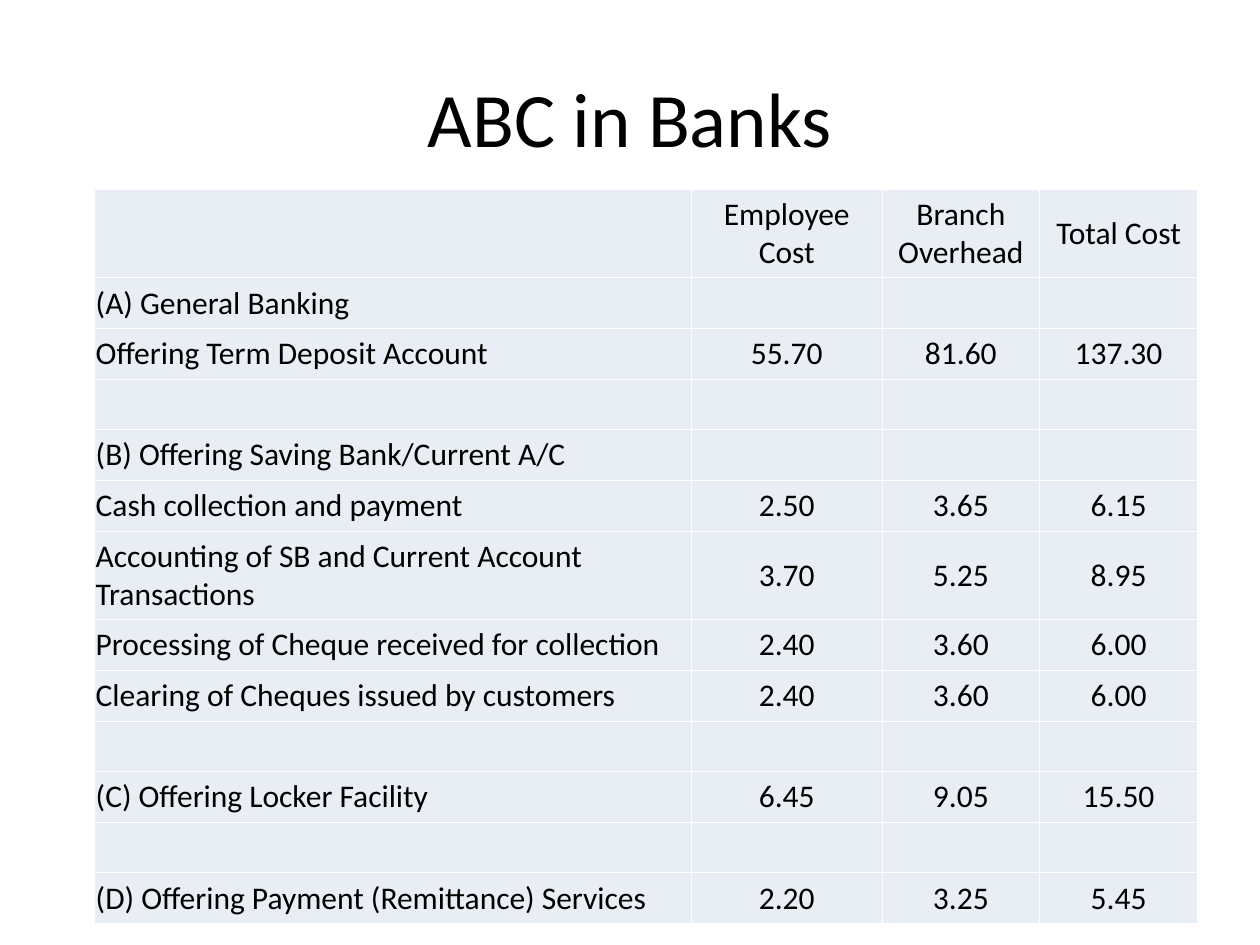
from lxml.etree import SubElement
from pptx import Presentation
from pptx.dml.color import RGBColor
from pptx.enum.text import MSO_ANCHOR, PP_ALIGN
from pptx.oxml.ns import qn
from pptx.util import Cm, Pt

FONT = "Calibri"
HUES = {"ink": "000000", "cell": "E9EDF4", "rule": "FFFFFF"}

WIDTHS = [12.04, 3.84, 3.18, 3.18]
HEAD, LOW, TALL = 1.75, 0.91, 1.55
WRAPPED = 6  # row whose label takes two lines

COSTS = [
    ["", "Employee Cost", "Branch Overhead", "Total Cost"],
    ["(A) General Banking"],
    ["Offering Term Deposit Account", "55.70", "81.60", "137.30"],
    [],
    ["(B) Offering Saving Bank/Current A/C"],
    ["Cash collection and payment", "2.50", "3.65", "6.15"],
    ["Accounting of SB and Current Account Transactions",
     "3.70", "5.25", "8.95"],
    ["Processing of Cheque received for collection", "2.40", "3.60", "6.00"],
    ["Clearing of Cheques issued by customers", "2.40", "3.60", "6.00"],
    [],
    ["(C) Offering Locker Facility", "6.45", "9.05", "15.50"],
    [],
    ["(D) Offering Payment (Remittance) Services", "2.20", "3.25", "5.45"],
]


def add_run(para, text, size):
    run = para.add_run()
    run.text = text
    run.font.name = FONT
    run.font.size = Pt(size)
    run.font.color.rgb = RGBColor.from_string(HUES["ink"])


def add_title(slide, text):
    box = slide.shapes.add_textbox(Cm(1.27), Cm(0.76), Cm(22.86), Cm(3.18))
    frame = box.text_frame
    frame.word_wrap = True
    frame.vertical_anchor = MSO_ANCHOR.MIDDLE
    para = frame.paragraphs[0]
    para.alignment = PP_ALIGN.CENTER
    add_run(para, text, 44)


def set_rules(cell):
    props = cell._tc.get_or_add_tcPr()
    for side in ("lnL", "lnR", "lnT", "lnB"):
        line = SubElement(props, qn("a:" + side), w=str(Pt(0.45)))
        fill = SubElement(line, qn("a:solidFill"))
        SubElement(fill, qn("a:srgbClr"), val=HUES["rule"])


def fill_cell(cell, text, align):
    # Borders come before the fill in the cell properties
    set_rules(cell)
    cell.fill.solid()
    cell.fill.fore_color.rgb = RGBColor.from_string(HUES["cell"])
    if text:
        cell.vertical_anchor = MSO_ANCHOR.MIDDLE
        cell.margin_left = cell.margin_right = Cm(0.03)
        cell.margin_top = cell.margin_bottom = Cm(0.13)
        para = cell.text_frame.paragraphs[0]
        para.alignment = align
        add_run(para, text, 18)


def add_costs(slide):
    heights = [LOW] * len(COSTS)
    heights[0], heights[WRAPPED] = HEAD, TALL
    table = slide.shapes.add_table(
        len(COSTS), len(WIDTHS), Cm(1.9), Cm(3.81),
        Cm(sum(WIDTHS)), Cm(sum(heights))).table
    table.first_row = table.horz_banding = False
    for col, width in zip(table.columns, WIDTHS):
        col.width = Cm(width)
    for row, height, texts in zip(table.rows, heights, COSTS):
        row.height = Cm(height)
        for j, cell in enumerate(row.cells):
            text = texts[j] if j < len(texts) else ""
            fill_cell(cell, text, PP_ALIGN.CENTER if j else PP_ALIGN.LEFT)


def main():
    deck = Presentation()
    deck.slide_width, deck.slide_height = Cm(25.4), Cm(19.05)
    slide = deck.slides.add_slide(deck.slide_layouts[6])
    # Heading
    add_title(slide, "ABC in Banks")
    # Cost per service
    add_costs(slide)
    deck.save("out.pptx")


if __name__ == "__main__":
    main()
